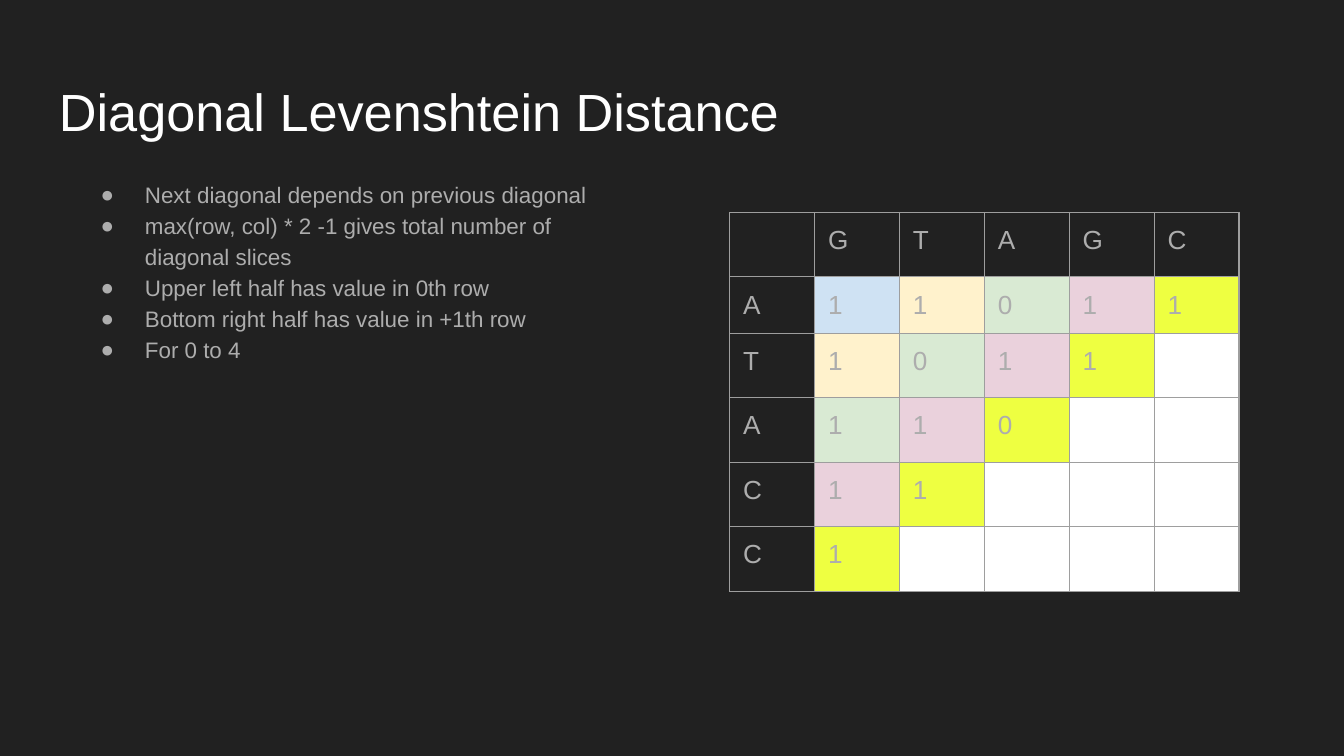
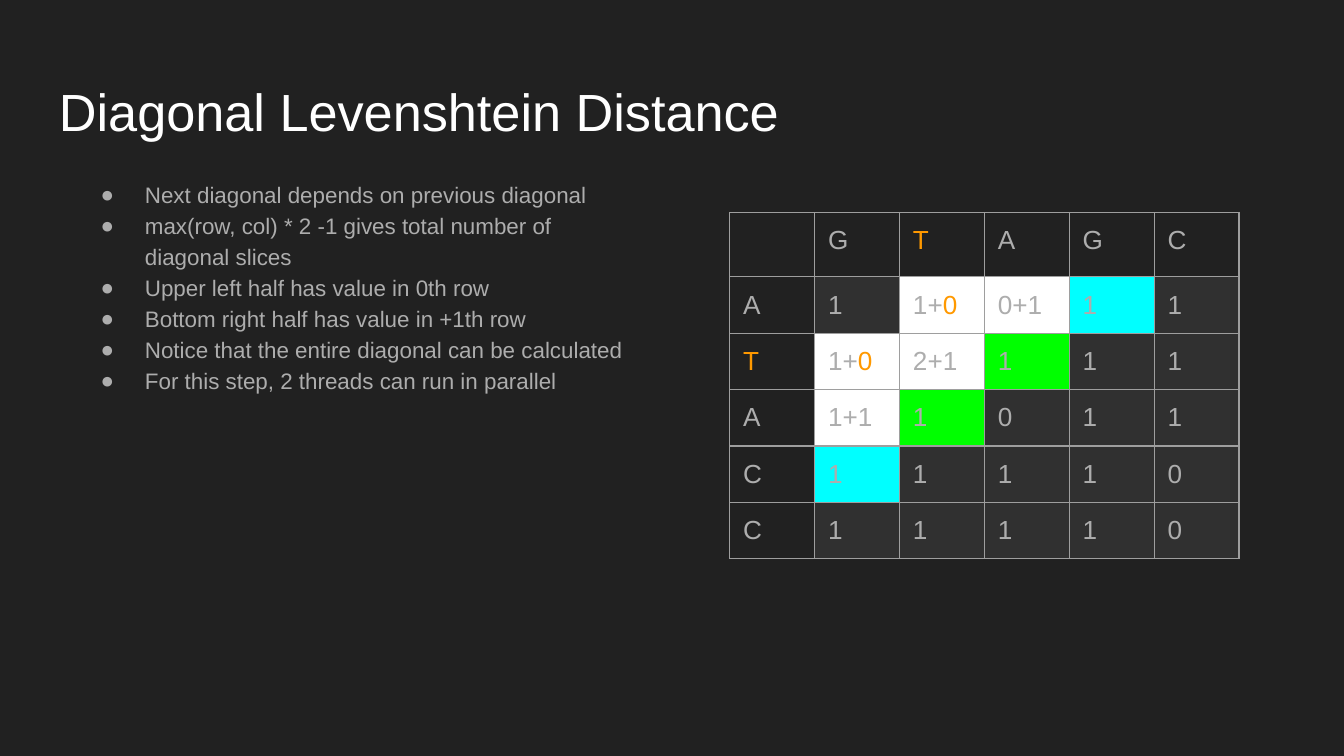
from lxml import etree
from pptx import Presentation
from pptx.dml.color import RGBColor
from pptx.oxml.ns import qn
from pptx.util import Inches, Pt

BACKGROUND = RGBColor(0x21, 0x21, 0x21)
WHITE = RGBColor(0xFF, 0xFF, 0xFF)
GREY = RGBColor(0xAD, 0xAD, 0xAD)
BORDER = RGBColor(0x9E, 0x9E, 0x9E)
ORANGE = RGBColor(0xFF, 0x99, 0x00)
CHARCOAL = RGBColor(0x30, 0x30, 0x30)
BLUE = RGBColor(0xCF, 0xE2, 0xF3)
CREAM = RGBColor(0xFF, 0xF2, 0xCC)
MINT = RGBColor(0xD9, 0xEA, 0xD3)
PINK = RGBColor(0xEA, 0xD1, 0xDC)
YELLOW = RGBColor(0xEE, 0xFF, 0x41)
CYAN = RGBColor(0x00, 0xFF, 0xFF)
GREEN = RGBColor(0x00, 0xFF, 0x00)

FONT = "Arial"
BLANK_LAYOUT = 6
SLIDE_WIDTH = Inches(10)
SLIDE_HEIGHT = SLIDE_WIDTH * 9 // 16
MATRIX_WIDTH = Inches(3.79)
ROW_HEIGHT = Inches(0.42)
TALL_ROW_HEIGHT = Inches(0.48)

TITLE = "Diagonal Levenshtein Distance"
SHARED_POINTS = [
    "Next diagonal depends on previous diagonal",
    "max(row, col) * 2 -1 gives total number of diagonal slices",
    "Upper left half has value in 0th row",
    "Bottom right half has value in +1th row",
]

# In a cell, the text after "|" is highlighted.
HALF_FILLED = [
    ["", "G", "T", "A", "G", "C"],
    ["A", "1", "1", "0", "1", "1"],
    ["T", "1", "0", "1", "1", ""],
    ["A", "1", "1", "0", "", ""],
    ["C", "1", "1", "", "", ""],
    ["C", "1", "", "", "", ""],
]
IN_PROGRESS = [
    ["", "G", "|T", "A", "G", "C"],
    ["A", "1", "1+|0", "0+1", "1", "1"],
    ["|T", "1+|0", "2+1", "1", "1", "1"],
    ["A", "1+1", "1", "0", "1", "1"],
    ["C", "1", "1", "1", "1", "0"],
    ["C", "1", "1", "1", "1", "0"],
]


def slice_fill(row, col):
    """One colour for each diagonal of the upper left half, white below it."""
    colours = [BLUE, CREAM, MINT, PINK, YELLOW]
    diagonal = row + col - 2
    return colours[diagonal] if diagonal < len(colours) else WHITE


def step_fill(row, col):
    """White for the slices in use, bright for the next one, dark elsewhere."""
    diagonal = row + col - 2
    if diagonal in (1, 2):
        return WHITE
    if diagonal == 3:
        return CYAN if 1 in (row, col) else GREEN
    return CHARCOAL


class Deck:
    def __init__(self):
        self.presentation = Presentation()
        self.presentation.slide_width = SLIDE_WIDTH
        self.presentation.slide_height = SLIDE_HEIGHT
        self.slide = None

    def new_slide(self, title):
        layout = self.presentation.slide_layouts[BLANK_LAYOUT]
        self.slide = self.presentation.slides.add_slide(layout)
        background = self.slide.background.fill
        background.solid()
        background.fore_color.rgb = BACKGROUND
        heading = self.text_frame(0.34, 0.49, 9.32, 0.63).paragraphs[0]
        heading.text = title
        self.set_font(heading, 28, WHITE)

    def text_frame(self, left, top, width, height):
        box = self.slide.shapes.add_textbox(
            Inches(left), Inches(top), Inches(width), Inches(height))
        frame = box.text_frame
        frame.word_wrap = True
        self.set_margins(frame, 0.1, 0.1)
        return frame

    def set_margins(self, holder, top, bottom):
        holder.margin_left = holder.margin_right = Inches(0.1)
        holder.margin_top = Inches(top)
        holder.margin_bottom = Inches(bottom)

    def set_font(self, paragraph, size, colour):
        paragraph.font.name = FONT
        paragraph.font.size = Pt(size)
        paragraph.font.color.rgb = colour

    def bullets(self, points):
        frame = self.text_frame(0.48, 1.22, 4.28, 3.99)
        for index, point in enumerate(points):
            paragraph = frame.add_paragraph() if index else frame.paragraphs[0]
            paragraph.text = point
            paragraph.line_spacing = 1.15
            properties = paragraph._p.get_or_add_pPr()
            properties.set("marL", str(Inches(0.5)))
            properties.set("indent", str(Inches(-0.33)))
            colour = etree.SubElement(properties, qn("a:buClr"))
            etree.SubElement(colour, qn("a:srgbClr"), val=str(GREY))
            etree.SubElement(properties, qn("a:buFont"), typeface=FONT)
            etree.SubElement(properties, qn("a:buChar"), char="●")
            self.set_font(paragraph, 12, GREY)

    def matrix(self, rows, fill_rule):
        heights = [ROW_HEIGHT if all(row) else TALL_ROW_HEIGHT for row in rows]
        columns = len(rows[0])
        table = self.slide.shapes.add_table(
            len(rows), columns, Inches(5.43), Inches(1.58),
            MATRIX_WIDTH, sum(heights)).table
        table.first_row = table.horz_banding = False
        for column in table.columns:
            column.width = MATRIX_WIDTH // columns
        for row, texts in enumerate(rows):
            table.rows[row].height = heights[row]
            for col, text in enumerate(texts):
                fill = fill_rule(row, col) if row and col else None
                self.fill_cell(table.cell(row, col), text, fill)

    def fill_cell(self, cell, text, fill):
        """Fill a cell; small lower margins keep the rows at their set height."""
        if text:
            self.set_margins(cell, 0.1, 0.08)
        else:
            self.set_margins(cell, 0, 0)
        self.add_borders(cell)
        if fill is None:
            cell.fill.background()
        else:
            cell.fill.solid()
            cell.fill.fore_color.rgb = fill
        paragraph = cell.text_frame.paragraphs[0]
        self.set_font(paragraph, 14, GREY)
        plain, _, highlighted = text.partition("|")
        if plain:
            paragraph.add_run().text = plain
        if highlighted:
            run = paragraph.add_run()
            run.text = highlighted
            run.font.color.rgb = ORANGE

    def add_borders(self, cell):
        properties = cell._tc.get_or_add_tcPr()
        for side in ("lnL", "lnR", "lnT", "lnB"):
            line = etree.SubElement(properties, qn(f"a:{side}"), w=str(Pt(0.75)))
            solid = etree.SubElement(line, qn("a:solidFill"))
            etree.SubElement(solid, qn("a:srgbClr"), val=str(BORDER))


def main():
    deck = Deck()

    deck.new_slide(TITLE)
    deck.bullets(SHARED_POINTS + ["For 0 to 4"])
    deck.matrix(HALF_FILLED, slice_fill)

    deck.new_slide(TITLE)
    deck.bullets(SHARED_POINTS + [
        "Notice that the entire diagonal can be calculated",
        "For this step, 2 threads can run in parallel",
    ])
    deck.matrix(IN_PROGRESS, step_fill)

    deck.presentation.save("out.pptx")


if __name__ == "__main__":
    main()
